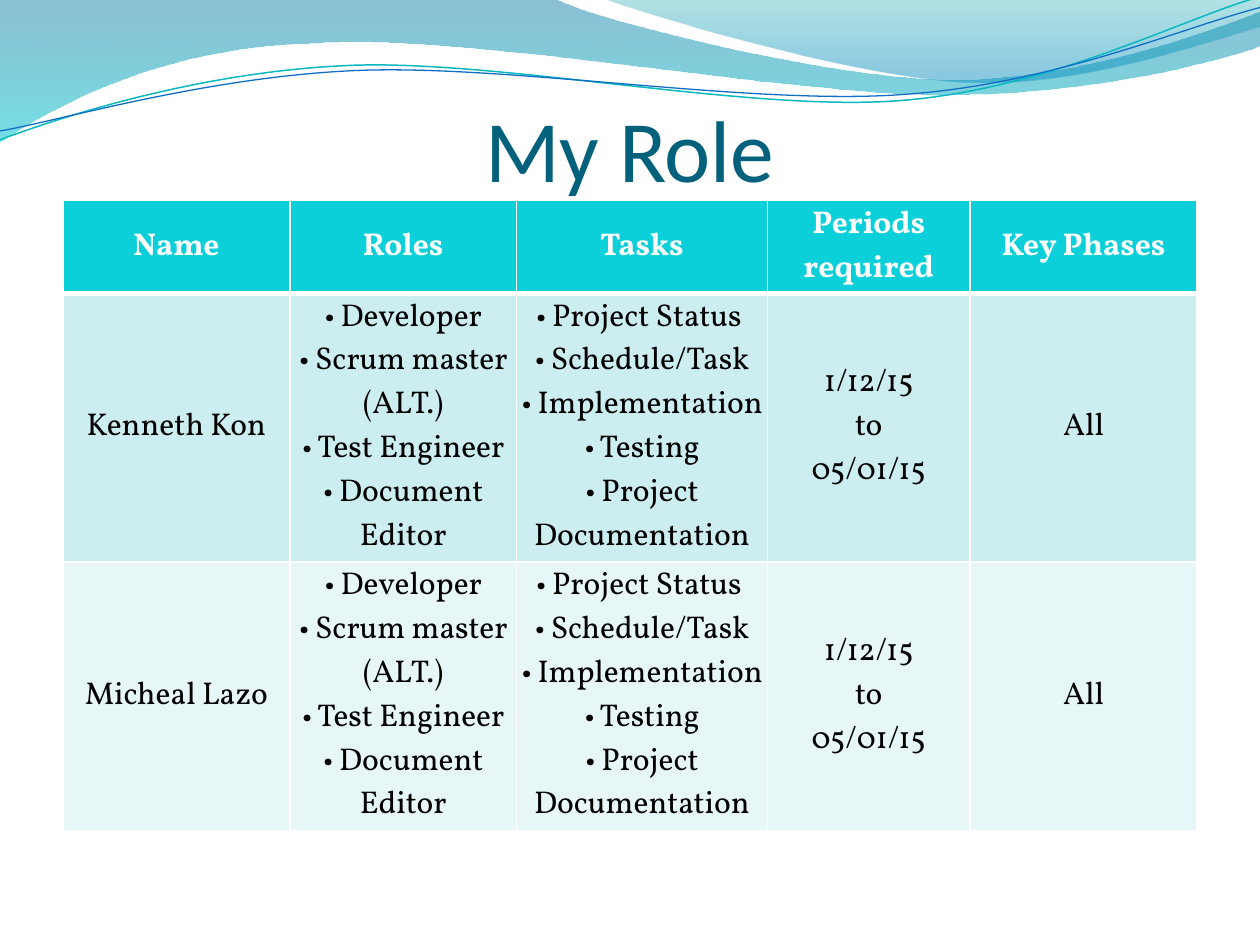
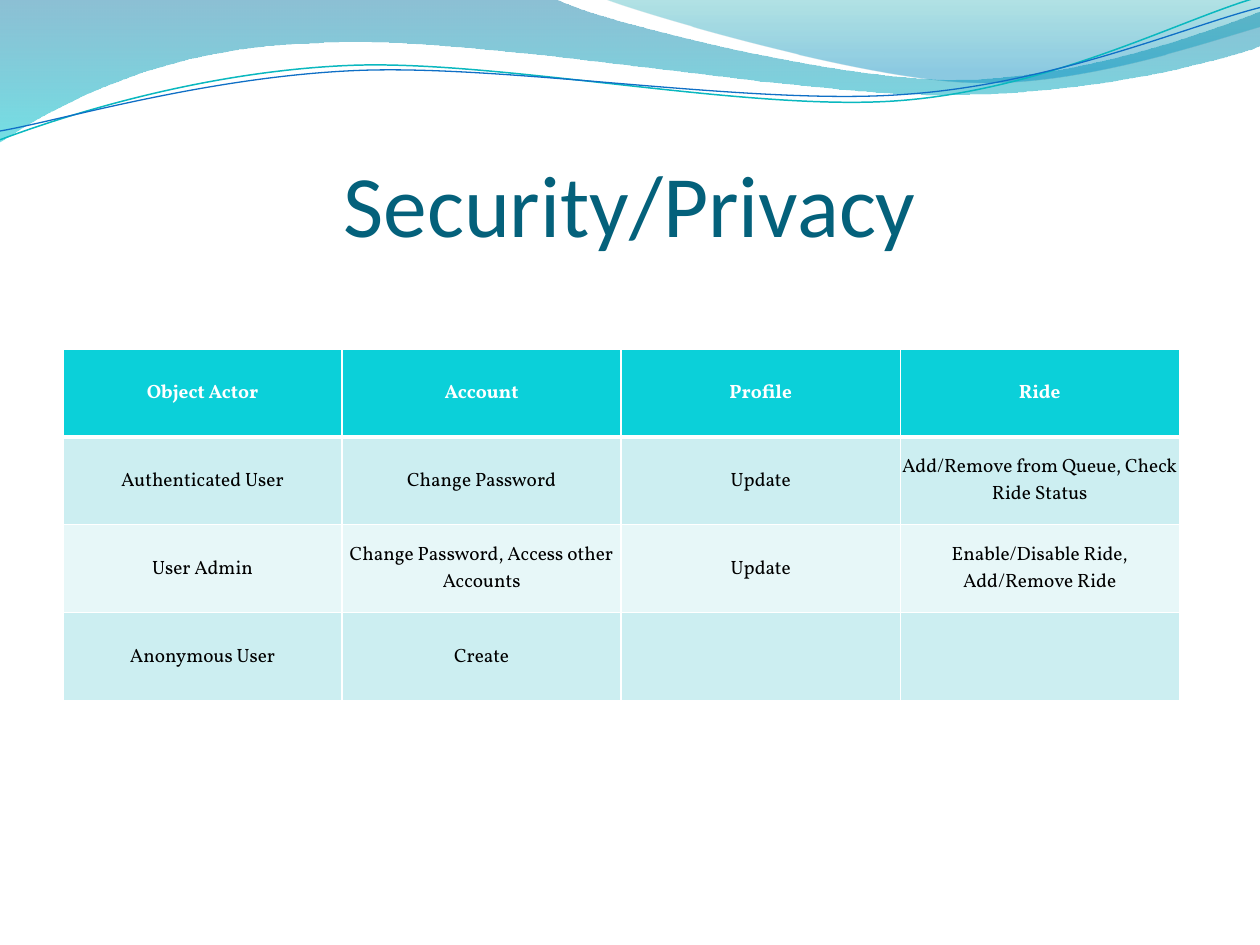
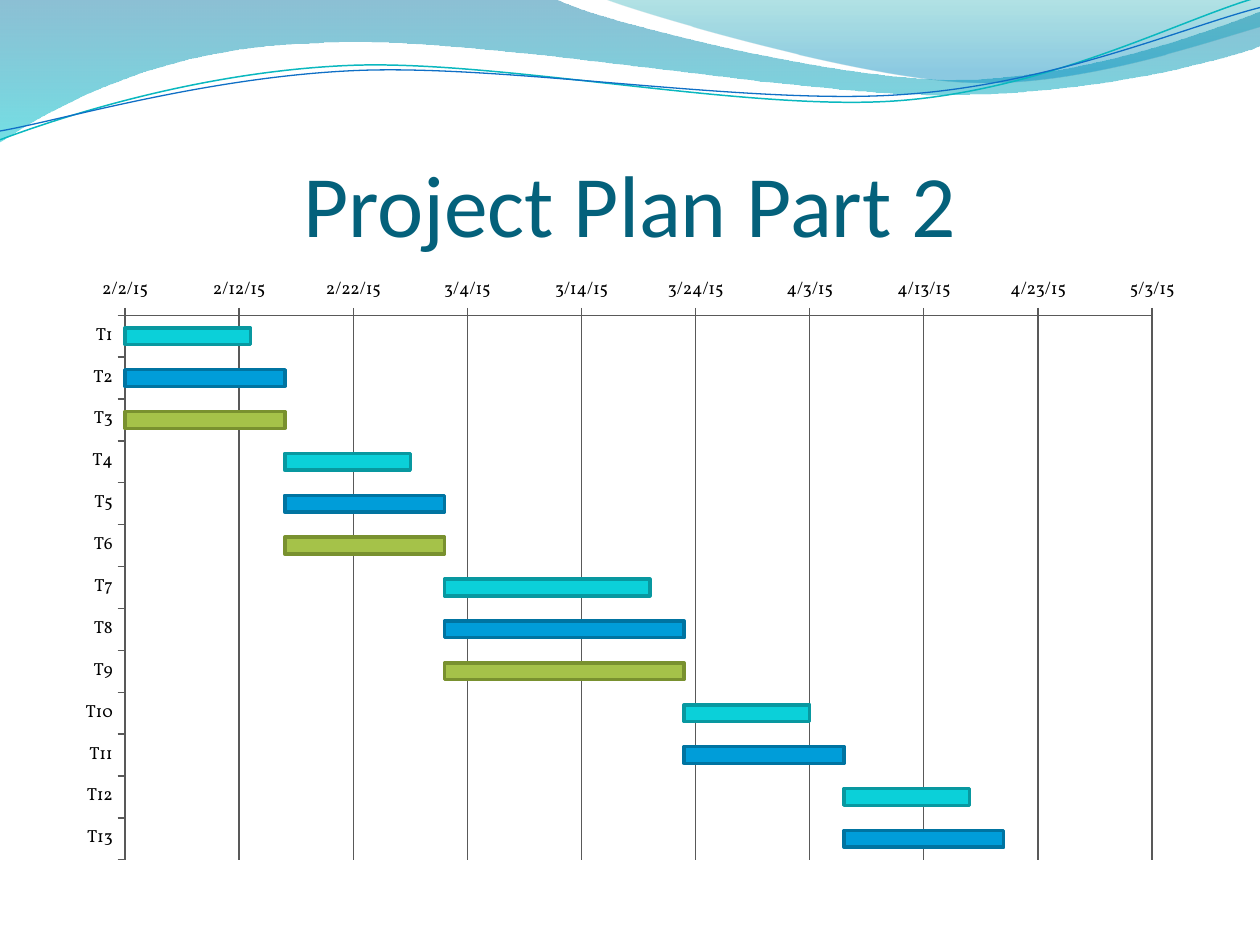
"""Build three project slides: roles, access rights and a Gantt chart."""
from dataclasses import dataclass

from lxml.etree import SubElement
from pptx import Presentation
from pptx.chart.data import CategoryChartData
from pptx.dml.color import RGBColor
from pptx.enum.chart import XL_CHART_TYPE, XL_TICK_MARK
from pptx.enum.text import MSO_ANCHOR, PP_ALIGN
from pptx.oxml.ns import qn
from pptx.util import Inches, Pt


@dataclass(frozen=True)
class Theme:
    title: str = "04617B"
    head: str = "0BD0D9"
    bands: tuple = ("CCEEF1", "E7F7F8")
    white: str = "FFFFFF"
    black: str = "000000"
    grid: str = "595959"
    face: str = "Calibri"
    body: str = "Vollkorn"
    big: float = 50
    mid: float = 18
    small: float = 11
    tiny: float = 10


THEME = Theme()

WAVES = [
    {"start": (0, 0), "segs": [
        (4.4, -0.01), (4.76, 0.17, 6.64, 0.63, 7.58, 0.63),
        (8.53, 0.63, 9.58, 0.26, 10, 0.09), (10.01, 0.36),
        (9.83, 0.44, 8.7, 0.76, 7.46, 0.75),
        (6.22, 0.75, 3.82, 0.28, 2.57, 0.34),
        (1.29, 0.36, 0.46, 0.83, -0.01, 1.13), (0, 0)],
     "stops": [(0, "0074A1", 45), (1, "00C6CF", 55)]},
    {"start": (4.79, -0.01), "segs": [
        (5.09, 0.11, 6.82, 0.62, 7.69, 0.65),
        (8.56, 0.69, 9.61, 0.32, 10, 0.21), (10, 0), (4.79, -0.01)],
     "stops": [(0, "00A1A9", 30), (0.8, "008BBF", 45)]},
    {"start": (0, 1.11), "segs": [
        (0.48, 0.93, 1.58, 0.57, 2.77, 0.52),
        (3.95, 0.47, 5.93, 0.89, 7.13, 0.8),
        (8.33, 0.71, 9.38, 0.15, 9.98, -0.02)],
     "line": ("0AB8BF", 0.85)},
    {"start": (0, 1.04), "segs": [
        (0.47, 0.96, 1.64, 0.61, 2.83, 0.56),
        (4.03, 0.51, 5.97, 0.84, 7.17, 0.75),
        (8.36, 0.67, 9.41, 0.21, 10, 0.06)],
     "line": ("0F6FC6", 0.75)},
]

JOBS = "• Developer\n• Scrum master (ALT.)\n• Test Engineer\n• Document Editor"
TASKS = ("• Project Status \n• Schedule/Task\n• Implementation\n"
         "• Testing\n• Project Documentation")
SPAN = "1/12/15\nto\n05/01/15"

ROLES = {
    "rows": [("Name", "Roles", "Tasks", "Periods required", "Key Phases")]
    + [(name, JOBS, TASKS, SPAN, "All")
       for name in ("Kenneth Kon", "Micheal Lazo")],
    "left": 0.5, "top": 1.59, "cols": (1.8, 1.8, 1.99, 1.61, 1.8),
    "highs": (0.74, 2.13, 2.13),
    "size": THEME.mid, "pads": (0.03, 0.02, 0.03, 0.02),
}
RIGHTS = {
    "rows": [
        ("Object Actor", "Account", "Profile", "Ride"),
        ("Authenticated User", "Change Password", "Update",
         "Add/Remove from Queue, Check Ride Status"),
        ("User Admin", "Change Password, Access other Accounts", "Update",
         "Enable/Disable Ride, Add/Remove Ride"),
        ("Anonymous User", "Create", "", "")],
    "left": 0.5, "top": 2.77, "cols": (8.86 / 4,) * 4,
    "highs": (2.79 / 4,) * 4,
    "size": THEME.small, "pads": (0.01, 0.01, 0.01, 0),
}

HUES = {"aqua": ("0BD0D9", "0898A0"), "blue": ("009DD9", "0074A1"),
        "lime": ("A5C249", "79912F")}
PLAN = [
    (42037, [(11, "aqua"), (14, "blue"), (14, "lime")]),
    (42051, [(11, "aqua"), (14, "blue"), (14, "lime")]),
    (42065, [(18, "aqua"), (21, "blue"), (21, "lime")]),
    (42086, [(11, "aqua"), (14, "blue")]),
    (42100, [(11, "aqua"), (14, "blue")]),
]
DATES = {"minimum_scale": 42037, "maximum_scale": 42127, "major_unit": 10,
         "has_major_gridlines": True}
LABELS = {"number_format": "m/d/yy;@", "number_format_is_linked": False}


def put(item, **vals):
    for key, val in vals.items():
        setattr(item, key, val)


def rgb(code):
    return RGBColor.from_string(code)


def ink(font, code, **vals):
    put(font, **vals)
    font.color.rgb = rgb(code)


def paint(fill, code):
    fill.solid()
    fill.fore_color.rgb = rgb(code)


def stroke(line, code, width):
    line.color.rgb = rgb(code)
    line.width = Pt(width)


def pad(item, pads):
    sides = ("margin_left", "margin_top", "margin_right", "margin_bottom")
    put(item, **dict(zip(sides, map(Inches, pads))))


def bend(shape, segs):
    route = next(shape.element.iter(qn("a:path")))
    steps = iter(route.findall(qn("a:lnTo")))
    for seg in segs:
        first = next(steps)
        if len(seg) == 6:
            first.tag = qn("a:cubicBezTo")
            for _ in range(2):
                step = next(steps)
                first.append(step[0])
                route.remove(step)


def add_wave(slide, wave):
    segs = wave["segs"]
    spots = [(Inches(seg[k]), Inches(seg[k + 1]))
             for seg in segs for k in range(0, len(seg), 2)]
    pen = slide.shapes.build_freeform(*map(Inches, wave["start"]))
    pen.add_line_segments(spots, close="stops" in wave)
    shape = pen.convert_to_shape()
    bend(shape, segs)
    shape.shadow.inherit = False
    if "line" in wave:
        shape.fill.background()
        stroke(shape.line, *wave["line"])
        return shape
    shape.line.fill.background()
    shape.fill.gradient()
    shape.fill.gradient_angle = 270
    for stop, (spot, code, _) in zip(shape.fill.gradient_stops, wave["stops"]):
        stop.position = spot
        stop.color.rgb = rgb(code)
    tints = shape.element.iter(qn("a:srgbClr"))
    for tint, (_, _, alpha) in zip(list(tints), wave["stops"]):
        SubElement(tint, qn("a:alpha"), val=str(alpha * 1000))
    return shape


def add_title(slide, text, top):
    box = slide.shapes.add_textbox(*map(Inches, (0.5, top, 9, 1.25)))
    frame = box.text_frame
    put(frame, word_wrap=True, vertical_anchor=MSO_ANCHOR.BOTTOM)
    pad(frame, (0, 0.05, 0, 0))
    para = frame.paragraphs[0]
    put(para, text=text, alignment=PP_ALIGN.CENTER)
    ink(para.runs[0].font, THEME.title, name=THEME.face, size=Pt(THEME.big))


def edge(cell, row):
    props = cell._tc.get_or_add_tcPr()
    wide = {"T": 3 if row == 1 else 1, "B": 3 if row == 0 else 1}
    for side in "LRTB":
        line = SubElement(props, qn("a:ln" + side),
                          w=str(Pt(wide.get(side, 1))))
        fill = SubElement(line, qn("a:solidFill"))
        SubElement(fill, qn("a:srgbClr"), val=THEME.white)


def add_grid(slide, data):
    rows, cols, highs = data["rows"], data["cols"], data["highs"]
    box = map(Inches, (data["left"], data["top"], sum(cols), sum(highs)))
    table = slide.shapes.add_table(len(rows), len(cols), *box).table
    for col, width in zip(table.columns, cols):
        col.width = Inches(width)
    for r, texts in enumerate(rows):
        table.rows[r].height = Inches(highs[r])
        for c, text in enumerate(texts):
            cell = table.cell(r, c)
            edge(cell, r)
            paint(cell.fill, THEME.bands[(r - 1) % 2] if r else THEME.head)
            cell.vertical_anchor = MSO_ANCHOR.MIDDLE
            pad(cell, data["pads"])
            para = cell.text_frame.paragraphs[0]
            put(para, text=text, alignment=PP_ALIGN.CENTER)
            for run in para.runs:
                ink(run.font, THEME.black if r else THEME.white,
                    name=THEME.body, size=Pt(data["size"]), bold=r == 0)


def add_gantt(slide, plan):
    bars = [(start, *bar) for start, group in plan for bar in group]
    data = CategoryChartData()
    data.categories = [f"T{n}" for n in range(1, len(bars) + 1)]
    data.add_series("Series 1", [bar[0] for bar in bars])
    data.add_series("Series 2", [bar[1] for bar in bars])
    box = map(Inches, (0.5, 2.12, 9, 4.8))
    chart = slide.shapes.add_chart(XL_CHART_TYPE.BAR_STACKED, *box, data).chart
    put(chart, has_legend=False, has_title=False)
    ink(chart.font, THEME.black, name=THEME.body, size=Pt(THEME.tiny))
    plot = chart.plots[0]
    put(plot, gap_width=150, overlap=100, vary_by_categories=False)
    put(chart.category_axis, reverse_order=True, has_major_gridlines=False)
    put(chart.value_axis, **DATES)
    put(chart.value_axis.tick_labels, **LABELS)
    for axis in (chart.category_axis, chart.value_axis):
        axis.major_tick_mark = XL_TICK_MARK.OUTSIDE
        stroke(axis.format.line, THEME.grid, 0.75)
    stroke(chart.value_axis.major_gridlines.format.line, THEME.grid, 0.75)
    base, span = plot.series
    base.format.fill.background()
    base.format.line.fill.background()
    looks = [(span.format, "blue")]
    looks += [(span.points[n].format, hue)
              for n, (_, _, hue) in enumerate(bars) if hue != "blue"]
    for look, hue in looks:
        fill, line = HUES[hue]
        paint(look.fill, fill)
        stroke(look.line, line, 2)


SLIDES = [
    ("My Role", 0.34, add_grid, ROLES),
    ("Security/Privacy", 0.77, add_grid, RIGHTS),
    ("Project Plan Part 2", 0.77, add_gantt, PLAN),
]


def main():
    deck = Presentation()
    put(deck, slide_width=Inches(10), slide_height=Inches(7.5))
    blank = deck.slide_layouts[6]
    for n, (title, top, draw, data) in enumerate(SLIDES):
        slide = deck.slides.add_slide(blank)
        if n == 0:
            for wave in WAVES:
                blank.shapes.element.append(add_wave(slide, wave).element)
        add_title(slide, title, top)
        draw(slide, data)
    deck.save("out.pptx")


if __name__ == "__main__":
    main()
